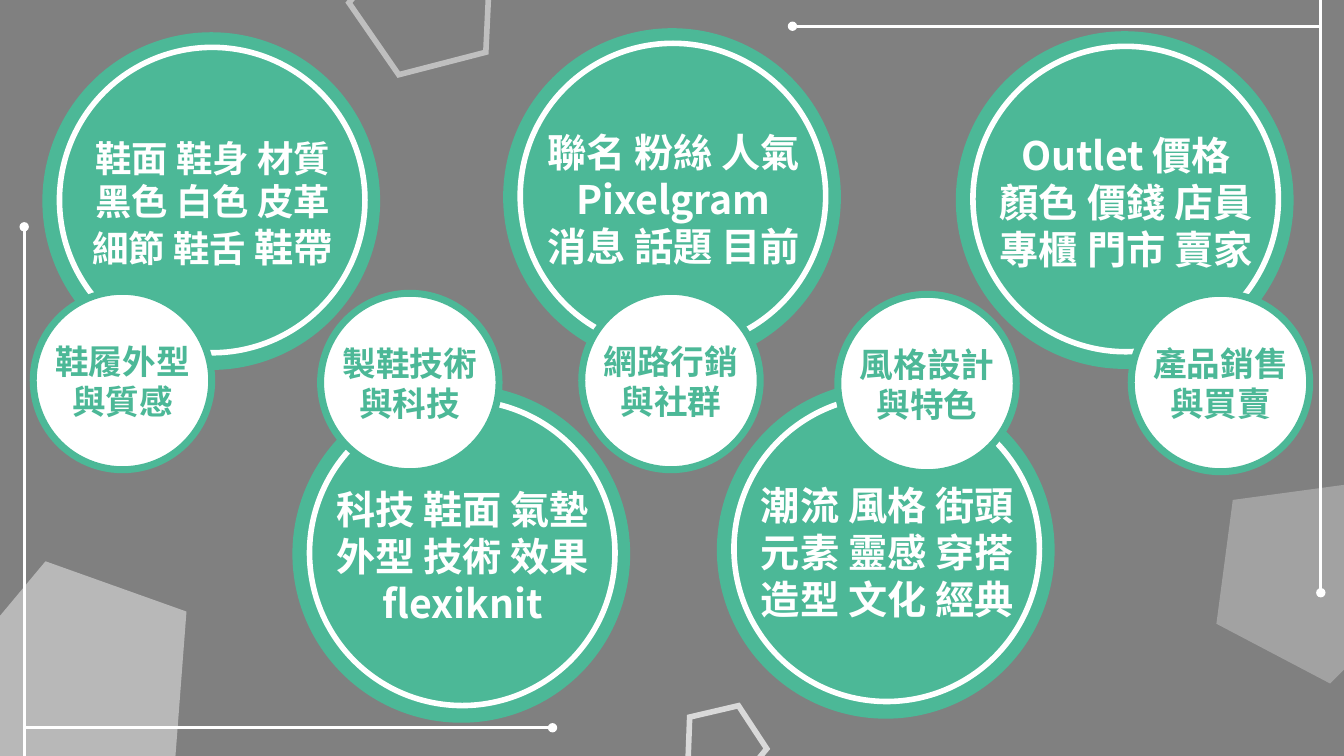
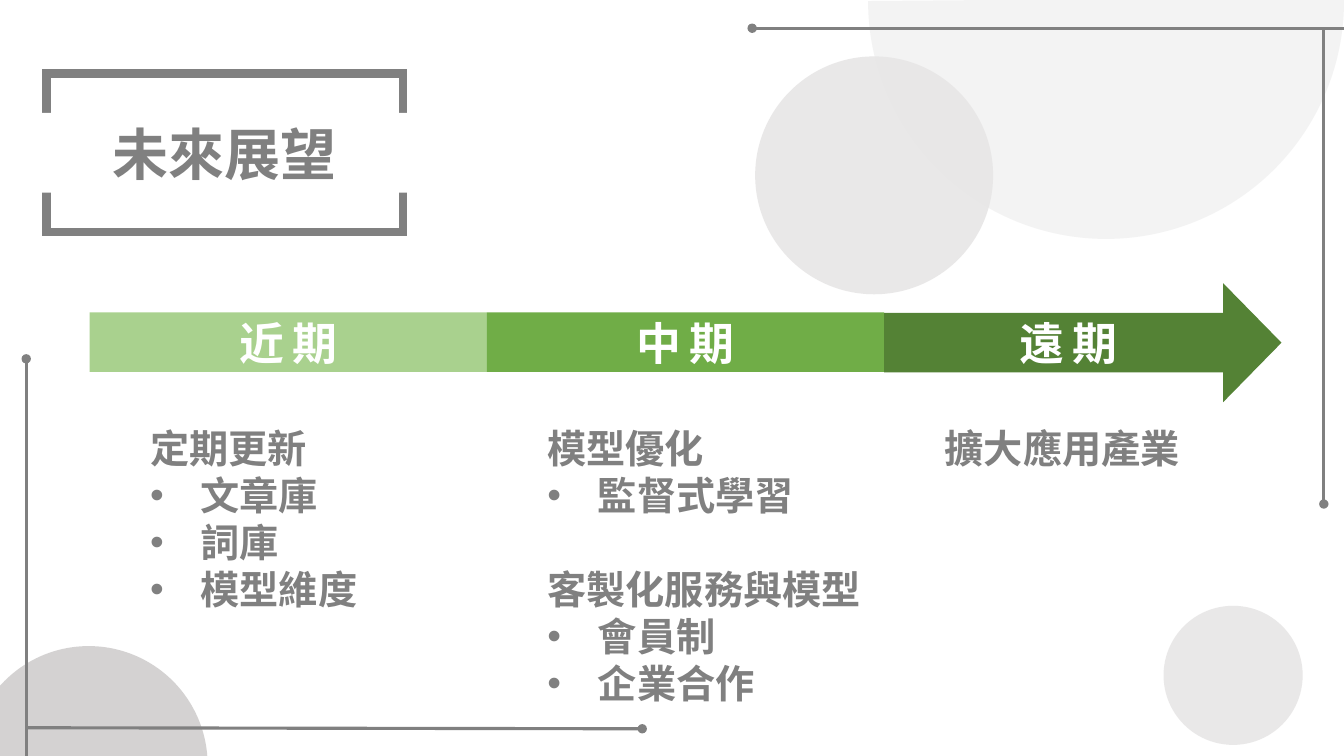
from dataclasses import dataclass

from lxml import etree
from pptx import Presentation
from pptx.dml.color import RGBColor
from pptx.enum.shapes import MSO_CONNECTOR, MSO_SHAPE
from pptx.enum.text import MSO_ANCHOR, MSO_AUTO_SIZE, PP_ALIGN
from pptx.oxml.ns import qn
from pptx.util import Inches, Pt


@dataclass(frozen=True)
class Theme:
    font: str = "Noto Sans CJK SC"
    white: str = "FFFFFF"
    gray: str = "808080"
    green: str = "4CB897"
    silver: str = "BFBFBF"
    stone: str = "A6A6A6"
    pale: str = "D9D9D9"
    mist: str = "F2F2F2"
    cloud: str = "E7E6E6"
    ash: str = "D0CECE"
    stages: tuple = ("A9D18E", "70AD47", "548235")
    title: int = 40
    stage: int = 32
    body: int = 28
    compact: int = 26
    label: int = 24
    rule: float = 2.25
    outline: int = 4
    rim: int = 5
    bracket: int = 6
    opacity: int = 90


T = Theme()


def rgb(color):
    return RGBColor.from_string(color)


def sub(parent, tag, **attrs):
    return etree.SubElement(parent, qn(tag), **attrs)


def place(sp, left, top, width, height):
    sp.left, sp.top = Inches(left), Inches(top)
    sp.width, sp.height = Inches(width), Inches(height)


def add_shape(s, kind, box, fill=None, line=None, weight=T.outline, opacity=100, rotation=0):
    sp = s.shapes.add_shape(kind, *map(Inches, box))
    sp.shadow.inherit = False
    sp.rotation = rotation
    if fill:
        sp.fill.solid()
        sp.fill.fore_color.rgb = rgb(fill)
        if opacity < 100:
            clr = sp.element.spPr.find(qn("a:solidFill"))[0]
            sub(clr, "a:alpha", val=str(opacity * 1000))
    else:
        sp.fill.background()
    if line:
        sp.line.color.rgb = rgb(line)
        sp.line.width = Pt(weight)
        sub(sp.element.spPr.find(qn("a:ln")), "a:miter", lim="800000")
    else:
        sp.line.fill.background()
    return sp


def add_rule(s, color, dot, end):
    ln = s.shapes.add_connector(MSO_CONNECTOR.STRAIGHT, *map(Inches, (*dot, *end)))
    ln.line.color.rgb = rgb(color)
    ln.line.width = Pt(T.rule)
    spPr = ln.element.spPr
    sub(spPr.find(qn("a:ln")), "a:headEnd", type="oval")
    sub(spPr, "a:effectLst")


def add_run(p, text, size, color, spacing=0):
    r = p.add_run()
    r.text = text
    r.font.size = Pt(size)
    r.font.bold = True
    r.font.color.rgb = rgb(color)
    r.font.name = T.font
    rPr = r.font._element
    sub(rPr, "a:ea", typeface=T.font)
    if spacing:
        rPr.set("spc", str(spacing * 100))


def prepare(tf, anchor):
    tf.word_wrap = True
    tf.auto_size = MSO_AUTO_SIZE.NONE
    tf.vertical_anchor = anchor


def write_centered(sp, paragraphs, color, anchor=MSO_ANCHOR.MIDDLE, spacing=0):
    tf = sp.text_frame
    prepare(tf, anchor)
    for i, runs in enumerate(paragraphs):
        p = tf.add_paragraph() if i else tf.paragraphs[0]
        p.alignment = PP_ALIGN.CENTER
        for text, size in runs:
            add_run(p, text, size, color, spacing)


def write_list(ph, box, items):
    place(ph, *box)
    tf = ph.text_frame
    prepare(tf, MSO_ANCHOR.TOP)
    for i, (level, text) in enumerate(items):
        p = tf.add_paragraph() if i else tf.paragraphs[0]
        p.level = level
        p.line_spacing = 1.0 if level else 2.0
        p.space_before = p.space_after = Pt(0)
        pPr = p._p.get_or_add_pPr()
        pPr.set("marL", str(Inches(1 if level else 0.5)))
        pPr.set("indent", str(Inches(-0.5 if level else 0)))
        if level:
            sub(pPr, "a:buFont", typeface="Arial")
            sub(pPr, "a:buChar", char="•")
        else:
            sub(pPr, "a:buNone")
        add_run(p, text, T.body, T.gray)


def set_background(s, color):
    s.background.fill.solid()
    s.background.fill.fore_color.rgb = rgb(color)


def add_topic(s, left, top, paragraphs):
    add_shape(s, MSO_SHAPE.OVAL, (left, top, 3.35, 3.35), T.green)
    box = s.shapes.add_textbox(*map(Inches, (left + 0.31, top + 0.94, 2.76, 1.51)))
    write_centered(box, paragraphs, T.white)
    add_shape(s, MSO_SHAPE.OVAL, (left + 0.17, top + 0.15, 3.03, 3.03), line=T.white)


def add_label(s, left, top, lines):
    add_shape(s, MSO_SHAPE.OVAL, (left, top, 1.77, 1.77), T.white, T.green, T.rim)
    box = s.shapes.add_textbox(*map(Inches, (left + 0.1, top + 0.44, 1.57, 0.91)))
    write_centered(box, [[(line, T.label)] for line in lines], T.green, MSO_ANCHOR.TOP)


def build_topics(prs):
    s = prs.slides.add_slide(prs.slide_layouts[6])
    set_background(s, T.gray)
    for left, top, size, rotation, fill in (
        (-0.32, 5.53, 2.36, 57, T.silver),
        (11.94, 4.67, 1.97, 314.9, T.stone),
    ):
        add_shape(s, MSO_SHAPE.REGULAR_PENTAGON, (left, top, size, size), fill,
                  opacity=T.opacity, rotation=rotation)
    for left, top, size, rotation, line in (
        (3.46, -0.63, 1.38, 272.7, T.silver),
        (6.75, 6.97, 0.79, 309.5, T.pale),
    ):
        add_shape(s, MSO_SHAPE.REGULAR_PENTAGON, (left, top, size, size), line=line,
                  rotation=rotation)
    for dot, end in (
        ((0.24, 2.25), (0.24, 7.5)),
        ((5.48, 7.22), (0.24, 7.22)),
        ((13.1, 5.88), (13.1, 0)),
        ((7.86, 0.26), (13.1, 0.26)),
    ):
        add_rule(s, T.white, dot, end)

    add_topic(s, 0.42, 0.32, [[("鞋面 鞋身 材質 黑色 白色 皮革 細節 鞋舌 ", T.compact),
                               ("鞋帶", T.body)]])
    for left, top, lines in (
        (4.99, 0.28, ["聯名 粉絲 人氣", "Pixelgram", "消息 話題 目前"]),
        (7.11, 3.78, ["潮流 風格 街頭 元素 靈感 穿搭 造型 文化 經典"]),
        (2.9, 3.82, ["科技 鞋面 氣墊 外型 技術 效果 flexiknit"]),
        (9.48, 0.31, ["Outlet 價格", "顏色 價錢 店員", "專櫃 門市 賣家"]),
    ):
        add_topic(s, left, top, [[(line, T.body)] for line in lines])

    for left, top, lines in (
        (0.33, 2.89, ["鞋履外型", "與質感"]),
        (5.77, 2.89, ["網路行銷與社群"]),
        (11.22, 2.91, ["產品銷售與買賣"]),
        (3.18, 2.91, ["製鞋技術與科技"]),
        (8.31, 2.92, ["風格設計與特色"]),
    ):
        add_label(s, left, top, lines)


def add_title(s, text):
    add_shape(s, MSO_SHAPE.RECTANGLE, (0.46, 0.73, 3.54, 1.57), line=T.gray, weight=T.bracket)
    title = s.shapes.title
    place(title, 0.26, 1.12, 3.94, 0.79)
    title.fill.solid()
    title.fill.fore_color.rgb = rgb(T.white)
    write_centered(title, [[(text, T.title)]], T.gray)
    s.shapes.element.append(title.element)


def build_outlook(prs):
    s = prs.slides.add_slide(prs.slide_layouts[4])
    set_background(s, T.white)
    add_shape(s, MSO_SHAPE.OVAL, (-0.3, 6.41, 2.36, 2.36), T.ash, opacity=T.opacity)
    chord = add_shape(s, MSO_SHAPE.CHORD, (8.61, -2.35, 4.72, 4.72), T.mist,
                      opacity=T.opacity, rotation=270)
    chord.adjustments[0], chord.adjustments[1] = 53.44, 162
    for left, top, size in ((7.49, 0.56, 2.36), (11.54, 6.01, 1.38)):
        add_shape(s, MSO_SHAPE.OVAL, (left, top, size, size), T.cloud, opacity=T.opacity)
    add_title(s, "未來展望")
    for dot, end in (
        ((7.46, 0.28), (13.33, 0.28)),
        ((0.26, 3.56), (0.26, 7.5)),
        ((6.37, 7.23), (0.27, 7.22)),
        ((13.13, 5), (13.13, 0.28)),
    ):
        add_rule(s, T.gray, dot, end)

    left, width = 0.89, 3.94
    plan = (
        ("近期", 2.46, [(0, "定期更新"), (1, "文章庫"), (1, "詞庫"), (1, "模型維度")]),
        ("中期", 3.4, [(0, "模型優化"), (1, "監督式學習"), (0, "客製化服務與模型"),
                      (1, "會員制"), (1, "企業合作")]),
        ("遠期", 0.9, [(0, "擴大應用產業")]),
    )
    bodies = [ph for ph in s.placeholders if ph.placeholder_format.idx]
    for i, (stage, height, items) in enumerate(plan):
        x = left + i * width
        last = i == len(plan) - 1
        kind = MSO_SHAPE.RIGHT_ARROW if last else MSO_SHAPE.RECTANGLE
        y, h = (2.81, 1.18) if last else (3.1, 0.59)
        bar = add_shape(s, kind, (x, y, width, h), T.stages[i])
        if last:
            bar.adjustments[0], bar.adjustments[1] = 0.5, 0.49
        write_centered(bar, [[(stage, T.stage)]], T.white, spacing=6)
        write_list(bodies[i], (x, 3.69, width, height), items)
    for ph in bodies[len(plan):]:
        s.shapes.element.remove(ph.element)


def main():
    prs = Presentation()
    prs.slide_width, prs.slide_height = Inches(13.33), Inches(7.5)
    build_topics(prs)
    build_outlook(prs)
    prs.save("out.pptx")


if __name__ == "__main__":
    main()
